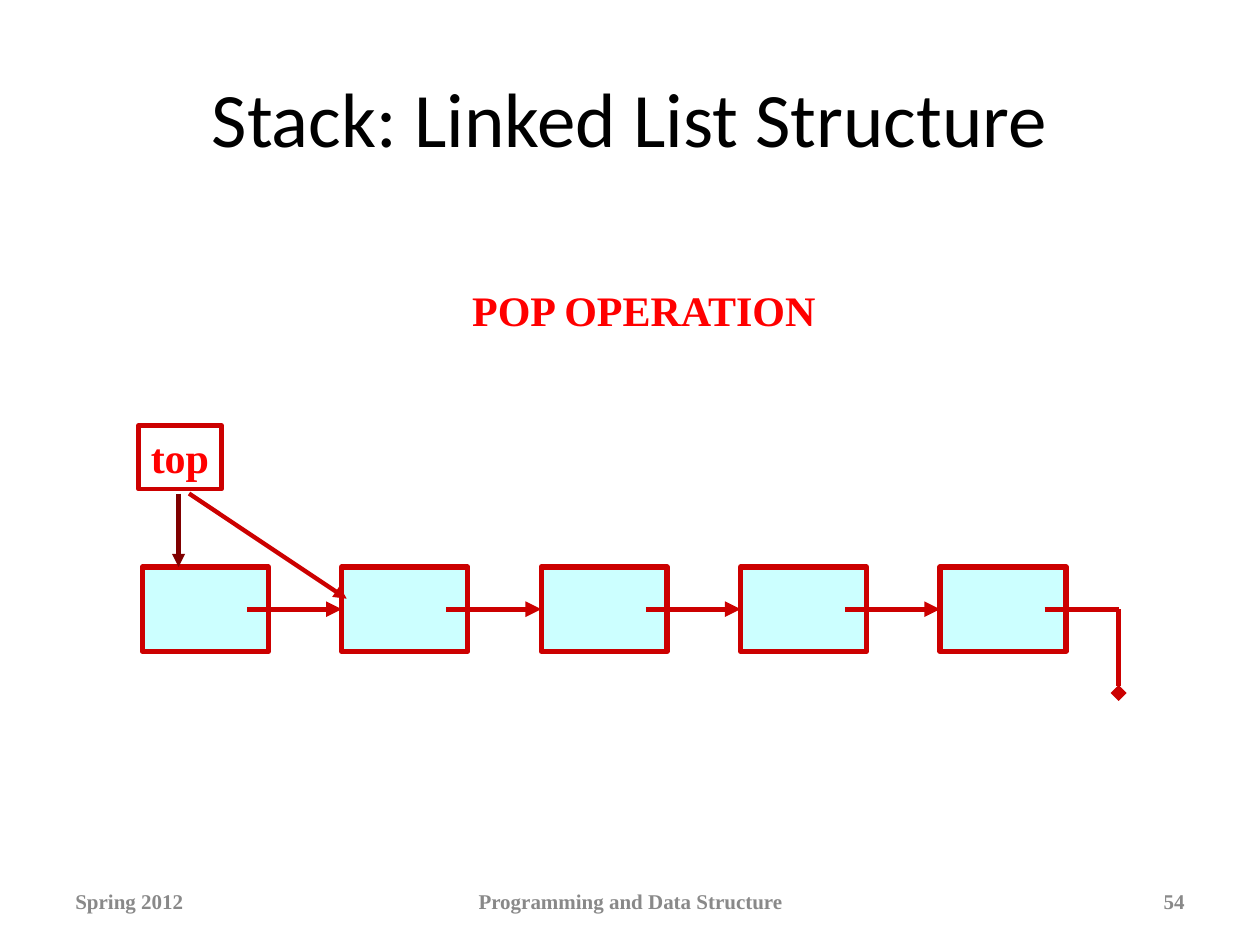
from lxml import etree
from pptx import Presentation
from pptx.dml.color import RGBColor
from pptx.enum.shapes import MSO_CONNECTOR, MSO_SHAPE
from pptx.enum.text import MSO_ANCHOR, PP_ALIGN
from pptx.oxml.ns import qn
from pptx.util import Cm, Pt

BLACK = RGBColor(0x00, 0x00, 0x00)
GREY = RGBColor(0x89, 0x89, 0x89)
RED = RGBColor(0xFF, 0x00, 0x00)
DARK_RED = RGBColor(0xCC, 0x00, 0x00)
MAROON = RGBColor(0x80, 0x00, 0x00)
PALE_CYAN = RGBColor(0xCC, 0xFF, 0xFF)
SERIF = "Times New Roman"

# Content; all lengths are in centimetres
TITLE = "Stack: Linked List Structure"
OPERATION = "POP OPERATION"
POINTER = "top"
FOOTERS = [  # text, left, width, alignment
    ("Spring 2012", 1.27, 5.92, PP_ALIGN.LEFT),
    ("Programming and Data Structure", 8.69, 8.05, PP_ALIGN.CENTER),
    ("54", 18.21, 5.92, PP_ALIGN.RIGHT),
]
NODE_COUNT = 5
NODE_LEFT, NODE_TOP, NODE_WIDTH, NODE_HEIGHT = 2.87, 11.43, 2.54, 1.7
NODE_STEP = 4.02
LINK_OFFSET = 2.11  # from a node's left edge to the start of its link
LINK_Y = 12.28
NULL_X, NULL_Y = 22.55, 13.97
POINTER_BOX = (2.79, 8.58, 1.68, 1.28)
POINTER_TIP_Y = 9.95


def write(shape, text, size, color, font=SERIF, bold=True,
          align=PP_ALIGN.LEFT, anchor=MSO_ANCHOR.TOP, wrap=True):
    frame = shape.text_frame
    frame.word_wrap = wrap
    frame.vertical_anchor = anchor
    paragraph = frame.paragraphs[0]
    paragraph.text = text
    paragraph.alignment = align
    paragraph.font.name = font
    paragraph.font.size = Pt(size)
    paragraph.font.bold = bold
    paragraph.font.color.rgb = color


def add_text(slide, box, text, size, color, **style):
    write(slide.shapes.add_textbox(*map(Cm, box)), text, size, color, **style)


def add_box(slide, box, line_width, fill=None):
    shape = slide.shapes.add_shape(MSO_SHAPE.RECTANGLE, *map(Cm, box))
    shape.shadow.inherit = False
    if fill is None:
        shape.fill.background()
    else:
        shape.fill.solid()
        shape.fill.fore_color.rgb = fill
    shape.line.color.rgb = DARK_RED
    shape.line.width = Pt(line_width)
    return shape


def add_line(slide, start, end, width, color=DARK_RED, head="triangle"):
    """Draw a straight line, with an end mark of the given type at its end."""
    line = slide.shapes.add_connector(
        MSO_CONNECTOR.STRAIGHT, *map(Cm, (*start, *end)))
    line.line.color.rgb = color
    line.line.width = Pt(width)
    if head:
        etree.SubElement(line.line._get_or_add_ln(), qn("a:tailEnd"), type=head)
    etree.SubElement(line._element.spPr, qn("a:effectLst"))


def add_linked_list(slide):
    lefts = [NODE_LEFT + i * NODE_STEP for i in range(NODE_COUNT)]
    for left in lefts:
        add_box(slide, (left, NODE_TOP, NODE_WIDTH, NODE_HEIGHT), 3, PALE_CYAN)
    for left, next_left in zip(lefts, lefts[1:]):
        add_line(slide, (left + LINK_OFFSET, LINK_Y), (next_left, LINK_Y), 3)
    corner = (NULL_X, LINK_Y)
    add_line(slide, (lefts[-1] + LINK_OFFSET, LINK_Y), corner, 3, head=None)
    add_line(slide, corner, (NULL_X, NULL_Y), 3, head="diamond")


def add_top_pointer(slide):
    write(add_box(slide, POINTER_BOX, 2.5), POINTER, 24, RED, wrap=False)
    add_line(slide, (3.6, POINTER_TIP_Y), (3.6, NODE_TOP), 2.5, MAROON)
    add_line(slide, (3.81, POINTER_TIP_Y), (6.99, 12.07), 2.5)


def main():
    presentation = Presentation()
    presentation.slide_width, presentation.slide_height = Cm(25.4), Cm(19.05)
    slide = presentation.slides.add_slide(presentation.slide_layouts[6])

    add_text(slide, (1.27, 0.76, 22.86, 3.18), TITLE, 44, BLACK, font="Calibri",
             bold=False, align=PP_ALIGN.CENTER, anchor=MSO_ANCHOR.MIDDLE)
    for text, left, width, align in FOOTERS:
        add_text(slide, (left, 17.65, width, 1.02), text, 12, GREY,
                 align=align, anchor=MSO_ANCHOR.MIDDLE)
    add_linked_list(slide)
    add_top_pointer(slide)
    add_text(slide, (9.27, 5.61, 7.54, 1.28), OPERATION, 24, RED, wrap=False)

    presentation.save("out.pptx")


if __name__ == "__main__":
    main()
